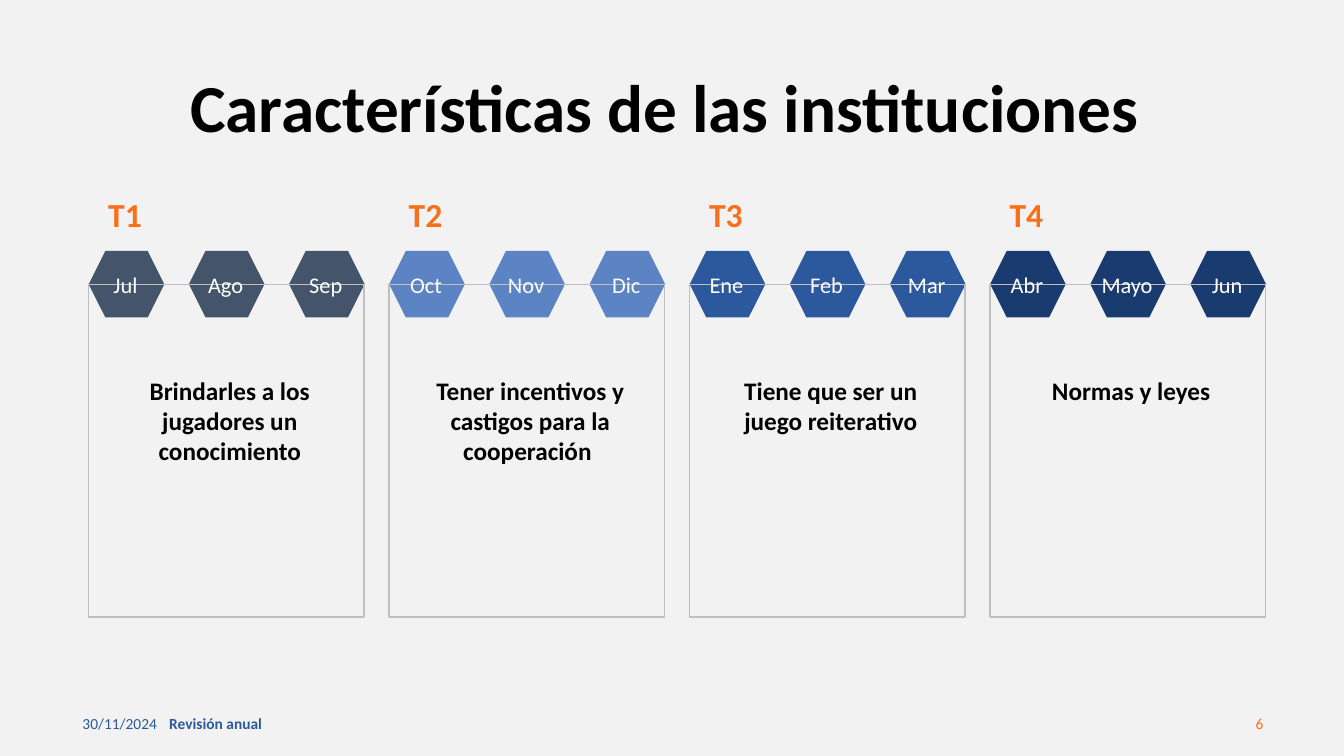
from pptx import Presentation
from pptx.dml.color import RGBColor
from pptx.enum.shapes import MSO_SHAPE
from pptx.enum.text import MSO_ANCHOR, MSO_AUTO_SIZE, PP_ALIGN
from pptx.util import Inches, Pt

COLORS = {
    "background": "F2F2F2",
    "ink": "000000",
    "white": "FFFFFF",
    "orange": "FA6F1A",
    "blue": "2C599D",
    "frame": "BFBFBF",
}
QUARTERS = [
    ("T1", "44546A", ["Jul", "Ago", "Sep"], "Brindarles a los jugadores un conocimiento"),
    ("T2", "5C83C4", ["Oct", "Nov", "Dic"], "Tener incentivos y castigos para la cooperación "),
    ("T3", "2C599D", ["Ene", "Feb", "Mar"], "Tiene que ser un juego reiterativo"),
    ("T4", "1A3B70", ["Abr", "Mayo", "Jun"], "Normas y leyes"),
]
LEFT = 0.88
QUARTER_STEP = 2.98
MONTH_STEP = QUARTER_STEP / 3


def write(shape, text, size, color, bold=False, align=PP_ALIGN.CENTER,
          anchor=MSO_ANCHOR.MIDDLE, spacing=1.0):
    frame = shape.text_frame
    frame.text = text
    frame.word_wrap = True
    frame.auto_size = MSO_AUTO_SIZE.NONE
    frame.vertical_anchor = anchor
    paragraph = frame.paragraphs[0]
    paragraph.alignment = align
    paragraph.line_spacing = spacing
    font = paragraph.runs[0].font
    font.name = "Calibri"
    font.size = Pt(size)
    font.bold = bold
    font.color.rgb = RGBColor.from_string(COLORS[color])


def add_text(left, top, width, height, text, size, color, **style):
    box = slide.shapes.add_textbox(Inches(left), Inches(top), Inches(width), Inches(height))
    write(box, text, size, color, **style)
    return box


prs = Presentation()
prs.slide_width = Inches(13.33)
prs.slide_height = Inches(7.5)
slide = prs.slides.add_slide(prs.slide_layouts[5])
slide.background.fill.solid()
slide.background.fill.fore_color.rgb = RGBColor.from_string(COLORS["background"])

title = slide.shapes.title
title.left, title.top = Inches(0.47), Inches(0.71)
title.width, title.height = Inches(12.4), Inches(0.77)
write(title, "Características de las instituciones ", 48, "ink", bold=True, spacing=0.9)

for index, (quarter, fill, months, feature) in enumerate(QUARTERS):
    left = LEFT + index * QUARTER_STEP
    month_lefts = [left + position * MONTH_STEP for position in range(len(months))]

    for month_left in month_lefts:
        hexagon = slide.shapes.add_shape(
            MSO_SHAPE.HEXAGON, Inches(month_left), Inches(2.49), Inches(0.75), Inches(0.66))
        hexagon.shadow.inherit = False
        hexagon.fill.solid()
        hexagon.fill.fore_color.rgb = RGBColor.from_string(fill)
        hexagon.line.fill.background()

    frame_box = slide.shapes.add_shape(
        MSO_SHAPE.RECTANGLE, Inches(left), Inches(2.82), Inches(2.73), Inches(3.3))
    frame_box.shadow.inherit = False
    frame_box.fill.background()
    frame_box.line.color.rgb = RGBColor.from_string(COLORS["frame"])
    frame_box.line.width = Pt(1)

    add_text(left + 0.03, 1.87, 0.66, 0.55, quarter, 24, "orange", bold=True, spacing=0.9)
    for month, month_left in zip(months, month_lefts):
        add_text(month_left - 0.05, 2.64, 0.83, 0.37, month, 16, "white", anchor=MSO_ANCHOR.TOP)
    feature_box = add_text(left + 0.21, 3.67, 2.28, 1.76, feature, 18, "ink",
                           bold=True, anchor=MSO_ANCHOR.TOP)
    feature_box.text_frame.margin_right = 0

add_text(0.72, 6.98, 3, 0.4, "30/11/2024", 11, "blue", align=PP_ALIGN.LEFT)
add_text(1.58, 6.98, 4.5, 0.4, "Revisión anual", 11, "blue", bold=True, align=PP_ALIGN.LEFT)
add_text(9.63, 6.98, 3, 0.4, "6", 11, "orange", align=PP_ALIGN.RIGHT)

prs.save("out.pptx")
